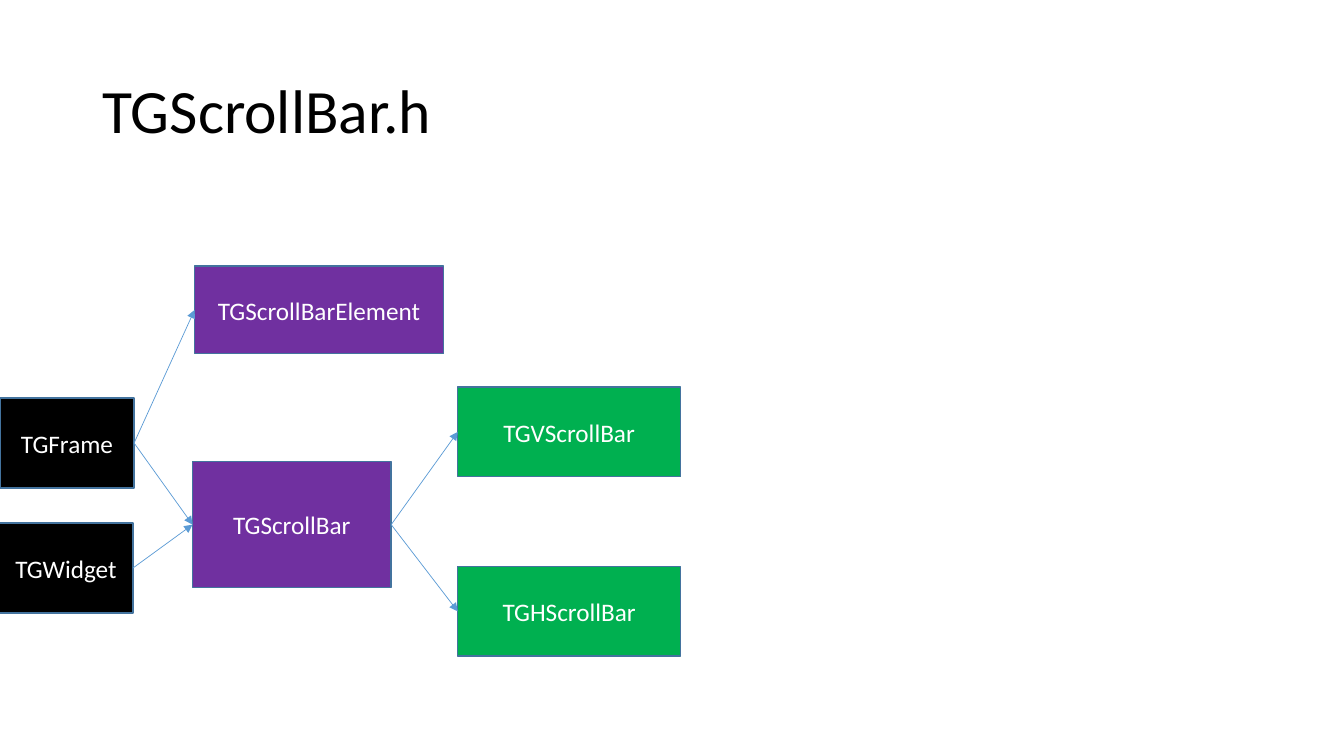
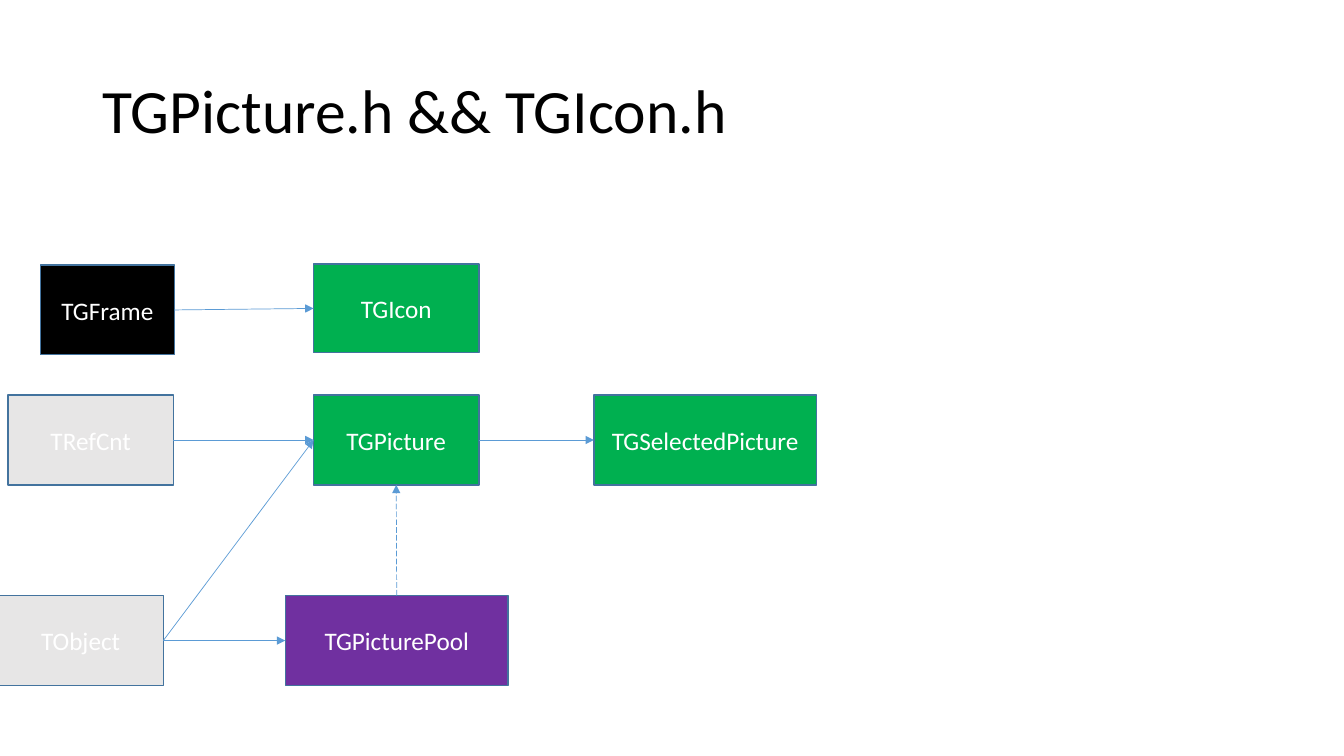
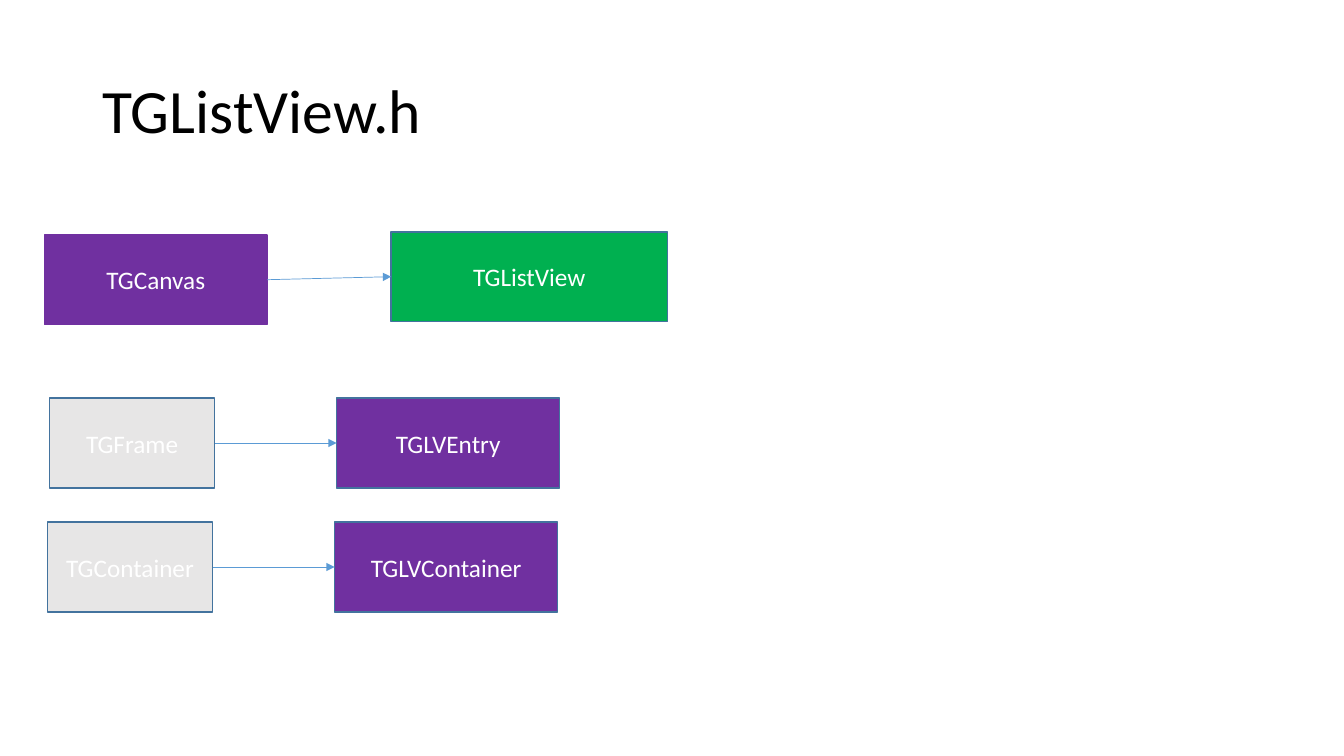
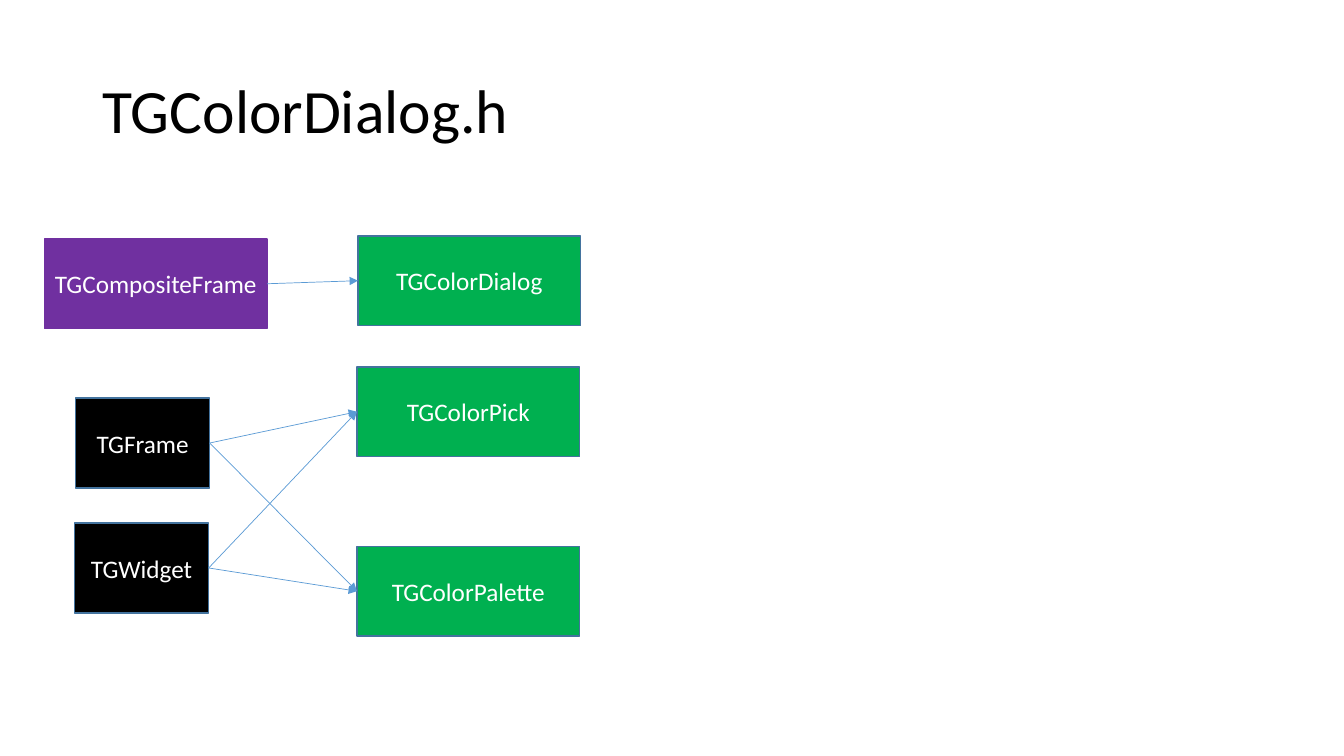
"""Builds four slides of class inheritance diagrams."""
from lxml.etree import SubElement
from pptx import Presentation
from pptx.dml.color import RGBColor as Rgb
from pptx.enum.dml import MSO_LINE as Dash
from pptx.enum.shapes import MSO_CONNECTOR as Wire, MSO_SHAPE as Form
from pptx.enum.text import MSO_ANCHOR as Anchor, PP_ALIGN as Align
from pptx.oxml.ns import qn
from pptx.util import Inches, Pt

HUES = {
    "black": "000000",
    "white": "FFFFFF",
    "purple": "7030A0",
    "green": "00B050",
    "grey": "E7E6E6",
    "edge": "43739E",
    "arrow": "5B9BD5",
}
FONT = "Calibri"
TALL = 0.89
SMALL, MID, WIDE = 1.33, 1.64, 2.21
TOP, LEFT, BASE, RIGHT = range(4)


def tint(name):
    return Rgb.from_string(HUES[name])


def write(frame, text, size=18, hue="white", align=Align.CENTER, space=1.0):
    frame.word_wrap = True
    frame.vertical_anchor = Anchor.MIDDLE
    para = frame.paragraphs[0]
    para.alignment = align
    para.line_spacing = space
    run = para.add_run()
    run.text = text
    run.font.name = FONT
    run.font.size = Pt(size)
    run.font.color.rgb = tint(hue)


def add_title(slide, text):
    area = slide.shapes.add_textbox(*map(Inches, (0.92, 0.4, 11.5, 1.45)))
    write(area.text_frame, text, size=44, hue="black", align=Align.LEFT, space=0.9)


def add_box(slide, text, hue, x, y, wide, tall=TALL, edge="edge"):
    box = slide.shapes.add_shape(Form.RECTANGLE, *map(Inches, (x, y, wide, tall)))
    box.shadow.inherit = False
    box.fill.solid()
    box.fill.fore_color.rgb = tint(hue)
    box.line.color.rgb = tint(edge)
    box.line.width = Pt(1)
    write(box.text_frame, text)
    return box


def link(slide, start, *ends, sides=(RIGHT, LEFT), dash=None):
    for end in ends:
        wire = slide.shapes.add_connector(Wire.STRAIGHT, 0, 0, 0, 0)
        wire.begin_connect(start, sides[0])
        wire.end_connect(end, sides[1])
        wire.line.color.rgb = tint("arrow")
        wire.line.width = Pt(0.5)
        if dash:
            wire.line.dash_style = dash
        props = wire.element.spPr
        SubElement(props.find(qn("a:ln")), qn("a:tailEnd"), type="triangle")
        SubElement(props, qn("a:effectLst"))


def draw_scroll(slide):
    add_title(slide, "TGScrollBar.h")
    frame = add_box(slide, "TGFrame", "black", 0, 3.95, SMALL)
    widget = add_box(slide, "TGWidget", "black", -0.01, 5.19, SMALL)
    part = add_box(slide, "TGScrollBarElement", "purple", 1.93, 2.64, 2.47, 0.87)
    bar = add_box(slide, "TGScrollBar", "purple", 1.91, 4.58, 1.97, 1.25)
    kinds = [add_box(slide, name, "green", 4.54, y, WIDE)
             for name, y in (("TGVScrollBar", 3.84), ("TGHScrollBar", 5.62))]
    link(slide, frame, part, bar)
    link(slide, widget, bar)
    link(slide, bar, *kinds)


def draw_icon(slide):
    add_title(slide, "TGPicture.h && TGIcon.h")
    frame = add_box(slide, "TGFrame", "black", 0.4, 2.63, SMALL)
    icon = add_box(slide, "TGIcon", "green", 3.11, 2.62, MID, 0.88)
    count = add_box(slide, "TRefCnt", "grey", 0.08, 3.92, MID)
    image = add_box(slide, "TGPicture", "green", 3.11, 3.92, MID)
    chosen = add_box(slide, "TGSelectedPicture", "green", 5.89, 3.92, WIDE)
    root = add_box(slide, "TObject", "grey", -0.02, 5.91, MID)
    pool = add_box(slide, "TGPicturePool", "purple", 2.83, 5.91, WIDE)
    link(slide, frame, icon)
    link(slide, count, image)
    link(slide, root, image, pool)
    link(slide, image, chosen)
    link(slide, pool, image, sides=(TOP, BASE), dash=Dash.LONG_DASH)


def draw_list(slide):
    add_title(slide, "TGListView.h")
    canvas = add_box(slide, "TGCanvas", "purple", 0.44, 2.33, WIDE, edge="purple")
    view = add_box(slide, "TGListView", "green", 3.88, 2.3, 2.74)
    link(slide, canvas, view)
    for base, child, x, y in (("TGFrame", "TGLVEntry", 0.49, 3.95),
                              ("TGContainer", "TGLVContainer", 0.47, 5.18)):
        start = add_box(slide, base, "grey", x, y, MID)
        end = add_box(slide, child, "purple", x + 2.85, y, WIDE)
        link(slide, start, end)


def draw_color(slide):
    add_title(slide, "TGColorDialog.h")
    group = add_box(slide, "TGCompositeFrame", "purple", 0.44, 2.37, WIDE, edge="purple")
    dialog = add_box(slide, "TGColorDialog", "green", 3.55, 2.34, WIDE)
    frame = add_box(slide, "TGFrame", "black", 0.75, 3.95, SMALL)
    widget = add_box(slide, "TGWidget", "black", 0.74, 5.19, SMALL)
    tools = [add_box(slide, name, "green", 3.54, y, WIDE)
             for name, y in (("TGColorPick", 3.64), ("TGColorPalette", 5.42))]
    link(slide, group, dialog)
    for base in (frame, widget):
        link(slide, base, *tools)


def main():
    deck = Presentation()
    deck.slide_width, deck.slide_height = Inches(13.33), Inches(7.5)
    for draw in (draw_scroll, draw_icon, draw_list, draw_color):
        draw(deck.slides.add_slide(deck.slide_layouts[6]))
    deck.save("out.pptx")


if __name__ == "__main__":
    main()
